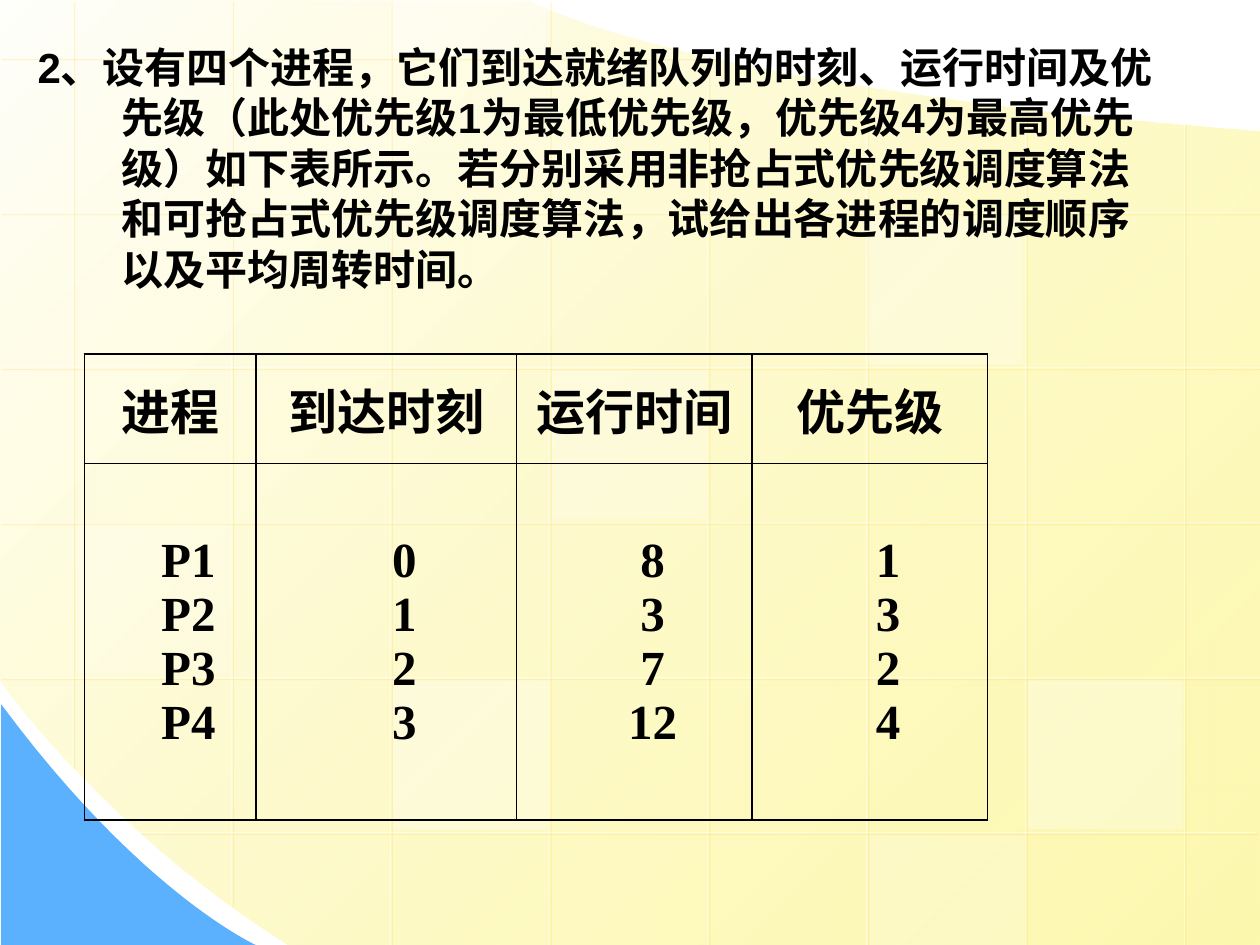
from lxml import etree
from pptx import Presentation
from pptx.dml.color import RGBColor
from pptx.enum.shapes import MSO_CONNECTOR, MSO_SHAPE
from pptx.enum.text import MSO_ANCHOR, MSO_AUTO_SIZE, PP_ALIGN
from pptx.oxml import parse_xml
from pptx.oxml.ns import nsdecls, qn
from pptx.util import Inches, Pt


def paint(color, hue, node=None, alpha=100):
    color.rgb = RGBColor.from_string(hue)
    if alpha < 100:
        last = list(node.iter(qn("a:srgbClr")))[-1]
        etree.SubElement(last, qn("a:alpha")).set("val", str(alpha * 1000))


def write(frame, text, size=28, font="Times New Roman", align=PP_ALIGN.CENTER, margin=0, indent=0):
    for i, line in enumerate(text.split("\n")):
        para = frame.add_paragraph() if i else frame.paragraphs[0]
        para.alignment = align
        props = para._p.get_or_add_pPr()
        props.set("marL", str(Inches(margin)))
        props.set("indent", str(Inches(indent)))
        run = para.add_run()
        run.text = line
        run.font.size = Pt(size)
        run.font.name = font
        run.font.bold = True
        paint(run.font.color, "000000")


deck = Presentation()
deck.slide_width, deck.slide_height = Inches(10), Inches(7.5)
slide = deck.slides.add_slide(deck.slide_layouts[6])
shapes = slide.shapes

sheet = [
    [(10, 1.04)],
    [(10, 7.5)],
    [(2.3, 7.5)],
    [(0.86, 6.61), (-0.01, 5.39), (0, 5.39)],
    [(-0.01, -0.01)],
    [(4.21, 0.01)],
    [(4.21, 0.01), (5.37, 0.69), (10, 1.04)],
]
corner = [
    [(0.01, 5.59)],
    [(0.01, 7.5)],
    [(2.03, 7.5)],
    [(2.03, 7.5), (1.12, 7.09), (0.01, 5.59)],
]
areas = []
for outline in (sheet, corner):
    dots = [outline[0][0]]
    for step in outline[1:]:
        if len(step) == 1:
            dots += step
            continue
        curve = [dots[-1]] + step
        for n in range(1, 25):
            t = n / 24
            parts = [(1 - t) ** 3, 3 * t * (1 - t) ** 2, 3 * t * t * (1 - t), t ** 3]
            dots.append(tuple(sum(w * p[k] for w, p in zip(parts, curve)) for k in (0, 1)))
    spots = [(Inches(x), Inches(y)) for x, y in dots]
    pen = shapes.build_freeform(*spots[0], scale=1.0)
    pen.add_line_segments(spots[1:], close=True)
    area = pen.convert_to_shape()
    area.shadow.inherit = False
    area.line.fill.background()
    areas.append(area)

cream, blue = areas
cream.fill.gradient()
cream.fill.gradient_angle = 315
first, last = cream.fill.gradient_stops
first.position, last.position = 0, 1
paint(first.color, "FFFFFB")
paint(last.color, "FDF58D", cream.element.spPr, 70)
blue.fill.solid()
paint(blue.fill.fore_color, "5CB1FE")

spans = [(0, 6.09), (0, 7.19), (0, 7.5), (0, 7.5), (0.43, 7.5), (0.68, 7.5), (0.85, 7.5), (0.98, 7.5)]
rows = [(5.68, 0)] + [(10, 0)] * 4 + [(9.97, 1.11)]
grid = [(0.58 + 1.26 * i, top, 0.58 + 1.26 * i, end) for i, (top, end) in enumerate(spans)]
grid += [(right, 0.46 + 1.23 * i, left, 0.46 + 1.23 * i) for i, (right, left) in enumerate(rows)]
for ends in grid:
    rule = shapes.add_connector(MSO_CONNECTOR.STRAIGHT, *map(Inches, ends))
    rule.line.width = Pt(0.75)
    paint(rule.line.color, "FFFFFF", rule.element.spPr, 50)
    rule.element.spPr.append(parse_xml(
        f'<a:effectLst {nsdecls("a")}><a:outerShdw dist="{Pt(1.4)}" dir="2700000">'
        '<a:srgbClr val="FFCC00"><a:alpha val="34000"/></a:srgbClr></a:outerShdw></a:effectLst>'))

tiles = [
    (4.38, 2.94, 1.18, 25), (8.16, 5.4, 1.18, 30), (0.6, 4.16, 1.18, 20), (6.9, 6.63, 0.87, 20),
    (3.11, 0, 0.44, 40), (3.12, 5.4, 1.18, 30), (6.89, 1.71, 1.18, 30),
]
for left, top, height, alpha in tiles:
    tile = shapes.add_shape(MSO_SHAPE.RECTANGLE, Inches(left), Inches(top), Inches(1.23), Inches(height))
    tile.shadow.inherit = False
    tile.line.fill.background()
    tile.fill.solid()
    paint(tile.fill.fore_color, "FFFFFF", tile.element.spPr, alpha)

task = shapes.add_shape(MSO_SHAPE.FLOWCHART_PROCESS, Inches(0.2), Inches(0.28), Inches(9.13), Inches(2.09))
task.shadow.inherit = False
task.fill.background()
task.line.fill.background()
frame = task.text_frame
frame.word_wrap = True
frame.auto_size = MSO_AUTO_SIZE.SHAPE_TO_FIT_TEXT
frame.vertical_anchor = MSO_ANCHOR.TOP
write(
    frame,
    "2、设有四个进程，它们到达就绪队列的时刻、运行时间及优先级（此处优先级1为最低优先级，"
    "优先级4为最高优先级）如下表所示。若分别采用非抢占式优先级调度算法和可抢占式优先级调度算法，"
    "试给出各进程的调度顺序以及平均周转时间。",
    size=24, font="Arial", align=PP_ALIGN.LEFT, margin=0.67, indent=-0.67)

data = [
    ["进程", "到达时刻", "运行时间", "优先级"],
    ["P1\nP2\nP3\nP4", "0\n1\n2\n3", "8\n3\n7\n12", "1\n3\n2\n4"],
]
table = shapes.add_table(2, 4, Inches(0.67), Inches(2.81), Inches(7.17), Inches(3.7)).table
table.first_row = table.horz_banding = False
for col, width in zip(table.columns, (1.36, 2.07, 1.87, 1.87)):
    col.width = Inches(width)
for row, height in zip(table.rows, (0.87, 2.83)):
    row.height = Inches(height)
for r, texts in enumerate(data):
    for c, text in enumerate(texts):
        cell = table.cell(r, c)
        cell.vertical_anchor = MSO_ANCHOR.MIDDLE
        cell.fill.background()
        write(cell.text_frame, text, indent=0.29 * r)
        props = cell._tc.get_or_add_tcPr()
        for i, side in enumerate("LRTB"):
            props.insert(i, parse_xml(
                f'<a:ln{side} {nsdecls("a")} w="{Pt(1)}"><a:solidFill>'
                f'<a:srgbClr val="000000"/></a:solidFill></a:ln{side}>'))

deck.save("out.pptx")
